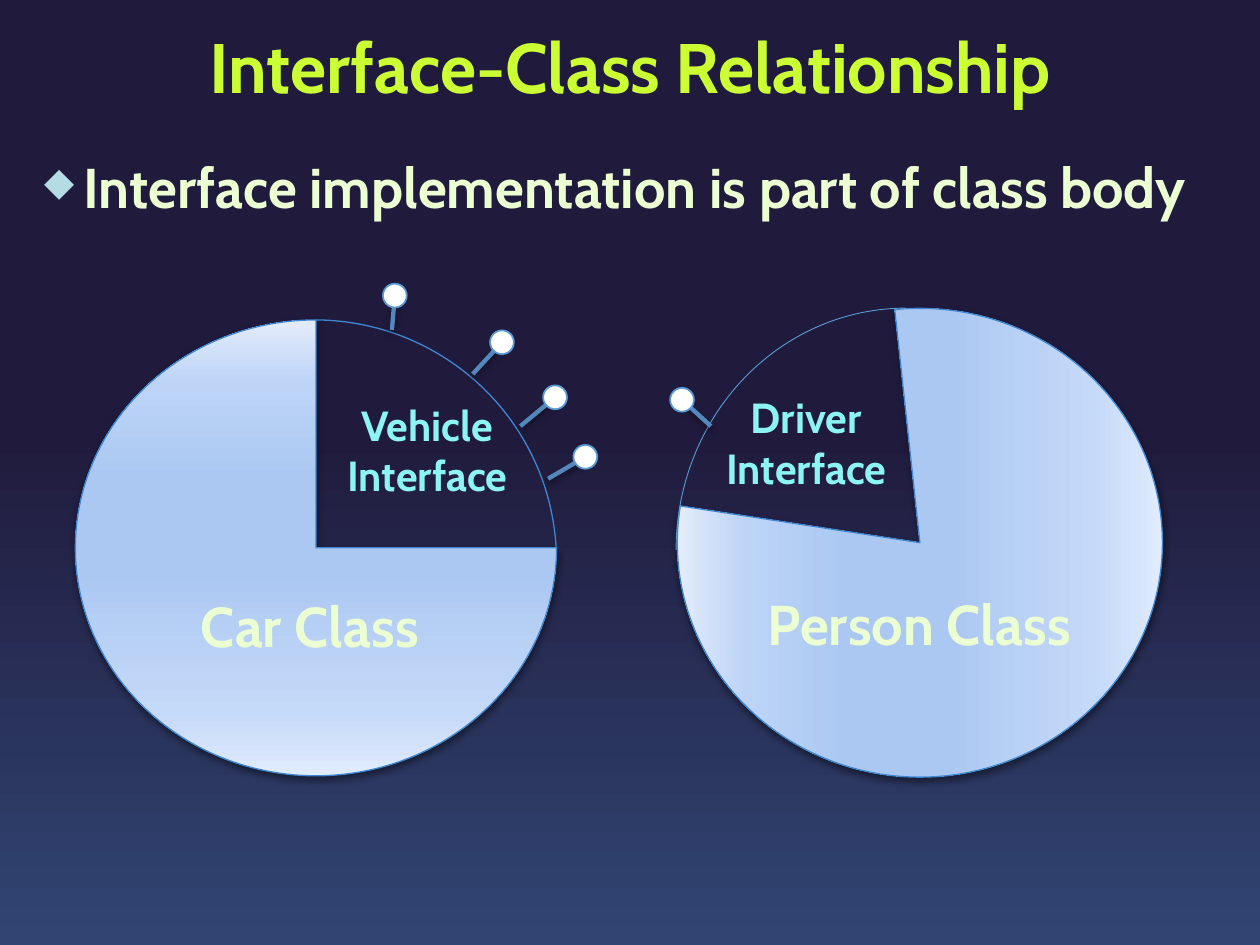
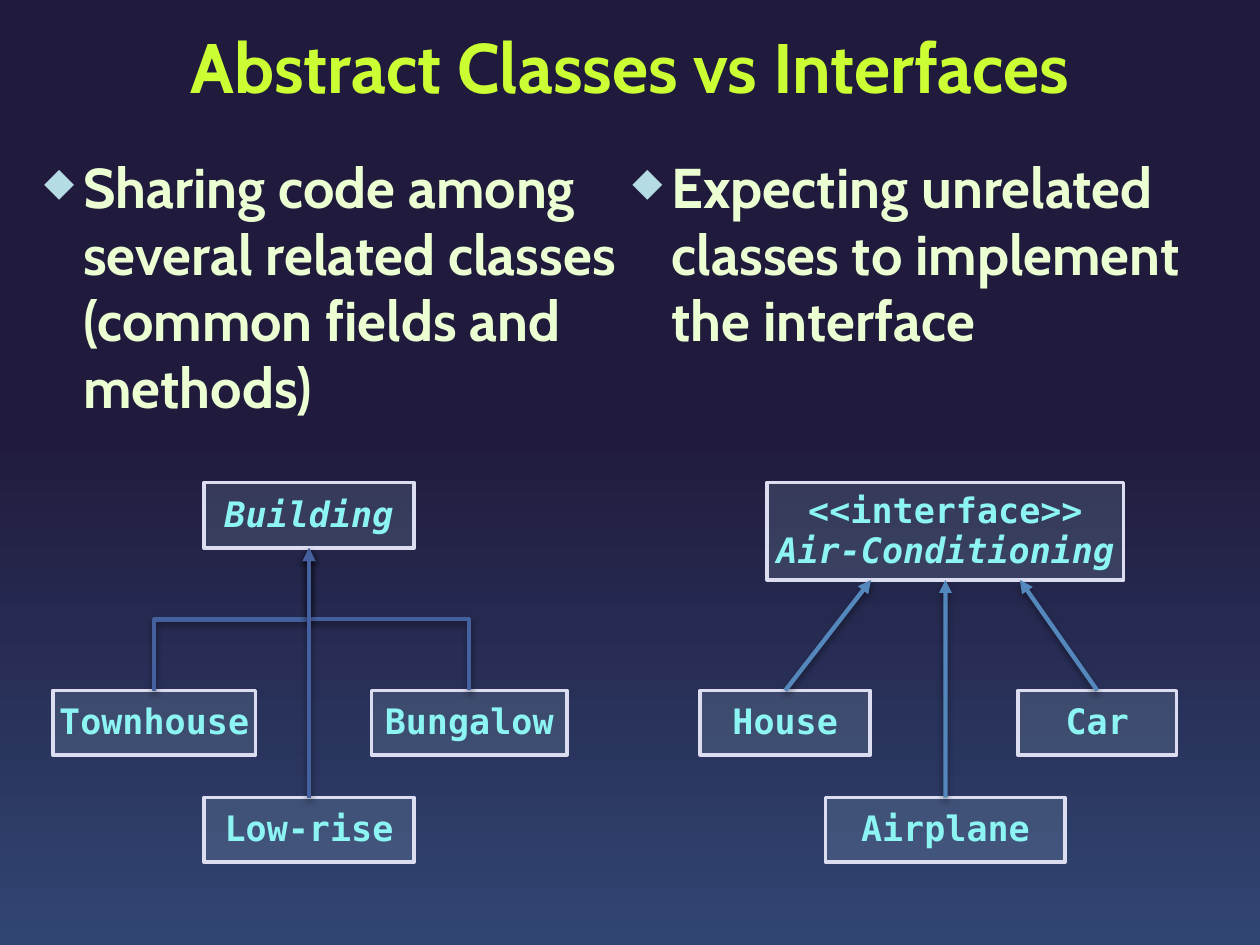
from dataclasses import dataclass

from lxml.etree import SubElement
from pptx import Presentation
from pptx.dml.color import RGBColor
from pptx.enum.shapes import MSO_CONNECTOR as LINK, MSO_SHAPE as SHAPE
from pptx.enum.text import MSO_ANCHOR as ANCHOR, PP_ALIGN as ALIGN
from pptx.oxml.ns import qn
from pptx.util import Cm, Pt


@dataclass(frozen=True)
class Theme:
    text_font: str = "Cabin"
    code_font: str = "DejaVu Sans Mono"
    title_size: int = 40
    body_size: int = 32
    label_size: int = 24
    code_size: int = 20
    title: str = "CCFF33"
    body: str = "EBFFD2"
    label: str = "8CF4F2"
    accent: str = "B5DBE5"
    box_line: str = "DCDDF0"
    pie_line: str = "3F88D1"
    pin_line: str = "5B9BD5"
    ball: str = "FFFFFF"
    stem: str = "5488BC"
    tree: str = "44609E"
    shadow: str = "000000"
    backdrop: tuple = ((0, "314573"), (54, "201B3D"))
    pie: tuple = ((0, "E0EBFD"), (14, "C5D9F8"), (45, "ABC8F2"),
                  (65, "ABC8F2"), (86, "BDD4F7"), (100, "E3ECFA"))


THEME = Theme()

# Places are (left, top, width, height) in centimetres.
TITLE_PLACE = (0.64, 0.2, 24.13, 2.54)
LEFT_COLUMN = (0.64, 2.97, 12.19, 15.67)
RIGHT_COLUMN = (12.5, 2.97, 12.55, 15.67)

RELATIONSHIP = {
    "title": "Interface-Class Relationship",
    "bullets": [("Interface implementation is part of class body",
                 (0.64, 2.97, 24.13, 2.97))],
}
# Angles are in degrees, clockwise from the right.
CLASS_PIES = [
    {"pie": (1.52, 6.45, 9.7, 9.19), "pie_angles": (0, 270),
     "arc": (1.47, 6.45, 9.75, 9.73), "arc_angles": (270.24, 356.69),
     "turn": 0, "arc_line": (THEME.pie_line, 0.75)},
    {"pie": (13.82, 6.05, 9.45, 9.78), "pie_angles": (353.85, 278.73),
     "arc": (13.39, 6.45, 9.75, 9.27), "arc_angles": (270, 0),
     "turn": 270, "arc_line": (THEME.pin_line, 0.5)},
]
PIE_LABELS = [
    (["Car Class"], (2.86, 11.79, 6.78, 1.63), THEME.body_size, THEME.body),
    (["Person Class"], (15.14, 11.76, 6.78, 1.63), THEME.body_size, THEME.body),
    (["Vehicle", "Interface"], (6.1, 7.92, 5.03, 2.31), THEME.label_size, THEME.label),
    (["Driver Interface"], (14.35, 7.77, 3.81, 2.31), THEME.label_size, THEME.label),
]
BALL_SIZE = 0.48
PINS = [  # foot on the arc, centre of the ball
    ((11.05, 9.65), (11.8, 9.21)),
    ((10.49, 8.59), (11.19, 8.01)),
    ((7.9, 6.65), (7.96, 5.96)),
    ((9.53, 7.54), (10.12, 6.9)),
    ((14.33, 8.59), (13.75, 8.06)),
]

COMPARISON = {
    "title": "Abstract Classes vs Interfaces",
    "bullets": [
        ("Sharing code among several related classes (common fields and methods)",
         LEFT_COLUMN),
        ("Expecting unrelated classes to implement the interface", RIGHT_COLUMN),
    ],
}
PARENT_TOP, MIDDLE_TOP, BOTTOM_TOP = 9.73, 13.92, 16.08
BOX_HEIGHT = 1.3
ARROW_SPREAD = 1.5
BUILDING = ([("Building", True)], 6.23, PARENT_TOP, 4.24, 1.32)
AIR_CONDITIONING = ([("<<interface>>", False), ("Air-Conditioning", True)],
                    19.06, PARENT_TOP, 7.19, 1.96)
# Name, centre, top, width, side of the parent (-1 left, 0 below, 1 right)
BUILDING_KINDS = [
    ("Townhouse", 3.11, MIDDLE_TOP, 4.09, -1),
    ("Bungalow", 9.46, MIDDLE_TOP, 3.94, 1),
    ("Low-rise", 6.23, BOTTOM_TOP, 4.24, 0),
]
IMPLEMENTERS = [
    ("House", 15.83, MIDDLE_TOP, 3.43, -1),
    ("Car", 22.12, MIDDLE_TOP, 3.2, 1),
    ("Airplane", 19.06, BOTTOM_TOP, 4.83, 0),
]


def rgb(value):
    return RGBColor.from_string(value)


def cm_all(values):
    return [Cm(value) for value in values]


def paint_gradient(fill, owner, stops):
    """Fill from bottom to top; owner is the element that holds the fill."""
    fill.gradient()
    fill.gradient_angle = 90
    stop_list = next(owner.iter(qn("a:gsLst")))
    for old_stop in list(stop_list):
        stop_list.remove(old_stop)
    for position, color in stops:
        stop = SubElement(stop_list, qn("a:gs"), pos=str(position * 1000))
        SubElement(stop, qn("a:srgbClr"), val=color)


def add_shadow(effects):
    shadow = SubElement(effects, qn("a:outerShdw"), blurRad=str(Pt(4)),
                        dist=str(Pt(2)), dir="5400000", rotWithShape="0")
    color = SubElement(shadow, qn("a:srgbClr"), val=THEME.shadow)
    SubElement(color, qn("a:alpha"), val="43000")


def set_line(line, color, width):
    line.color.rgb = rgb(color)
    line.width = Pt(width)


def write(para, text, size, color, face=THEME.text_font, italic=False):
    """Style the paragraph and its run, as some viewers skip paragraph fonts."""
    span = para.add_run()
    span.text = text
    for font in (para.font, span.font):
        font.name, font.size = face, Pt(size)
        font.bold, font.italic = True, italic
        font.color.rgb = rgb(color)


def paragraphs(frame, count):
    return [frame.paragraphs[0]] + [frame.add_paragraph() for _ in range(count - 1)]


def add_text(page, lines, place, size, color, align=ALIGN.CENTER):
    frame = page.shapes.add_textbox(*cm_all(place)).text_frame
    frame.word_wrap = True
    for para, line in zip(paragraphs(frame, len(lines)), lines):
        para.alignment = align
        write(para, line, size, color)
    return frame


def add_bullet(page, text, place):
    frame = page.shapes.add_textbox(*cm_all(place)).text_frame
    frame.word_wrap = True
    para = frame.paragraphs[0]
    para.line_spacing = Pt(38)
    para.space_before = para.space_after = Pt(6)
    props = para._p.get_or_add_pPr()
    props.set("marL", str(Cm(0.79)))
    props.set("indent", str(Cm(-0.79)))
    SubElement(SubElement(props, qn("a:buClr")), qn("a:srgbClr"), val=THEME.accent)
    SubElement(props, qn("a:buSzPct"), val="70000")
    SubElement(props, qn("a:buChar"), char="◆")
    write(para, text, THEME.body_size, THEME.body)


def add_page(deck, content):
    page = deck.slides.add_slide(deck.slide_layouts[6])
    paint_gradient(page.background.fill, page._element, THEME.backdrop)
    frame = add_text(page, [content["title"]], TITLE_PLACE,
                     THEME.title_size, THEME.title)
    frame.vertical_anchor = ANCHOR.MIDDLE
    frame.paragraphs[0].line_spacing = Pt(40)
    for text, place in content["bullets"]:
        add_bullet(page, text, place)
    return page


def add_plain_shape(page, kind, place, line_color, line_width):
    shape = page.shapes.add_shape(kind, *cm_all(place))
    shape.shadow.inherit = False
    set_line(shape.line, line_color, line_width)
    return shape


def set_angles(shape, angles, turn):
    for index, angle in enumerate(angles):
        shape.adjustments[index] = angle * 0.6
    shape.rotation = turn


def add_class_pie(page, parts):
    pie = add_plain_shape(page, SHAPE.PIE, parts["pie"], THEME.pie_line, 0.75)
    set_angles(pie, parts["pie_angles"], parts["turn"])
    paint_gradient(pie.fill, pie._element, THEME.pie)
    add_shadow(pie._element.spPr.find(qn("a:effectLst")))
    arc = add_plain_shape(page, SHAPE.ARC, parts["arc"], *parts["arc_line"])
    set_angles(arc, parts["arc_angles"], parts["turn"])
    arc.fill.background()


def add_link(page, kind, start, end, color, arrow=False):
    link = page.shapes.add_connector(kind, *start, *end)
    set_line(link.line, color, 2.5)
    props = link._element.spPr
    if arrow:
        SubElement(props.find(qn("a:ln")), qn("a:tailEnd"), type="triangle")
    add_shadow(SubElement(props, qn("a:effectLst")))
    return link


def add_pin(page, foot, centre):
    add_link(page, LINK.STRAIGHT, cm_all(foot), cm_all(centre), THEME.stem)
    corner = [value - BALL_SIZE / 2 for value in centre]
    ball = add_plain_shape(page, SHAPE.OVAL, (*corner, BALL_SIZE, BALL_SIZE),
                           THEME.pin_line, 1)
    ball.fill.solid()
    ball.fill.fore_color.rgb = rgb(THEME.ball)


def add_class_box(page, lines, centre, top, width, height=BOX_HEIGHT):
    place = (centre - width / 2, top, width, height)
    box = add_plain_shape(page, SHAPE.RECTANGLE, place, THEME.box_line, 2)
    box.fill.solid()
    box.fill.fore_color.rgb = rgb(THEME.accent)
    fill_color = next(box._element.spPr.iter(qn("a:srgbClr")))
    SubElement(fill_color, qn("a:alpha"), val="15000")
    frame = box.text_frame
    frame.word_wrap = False
    frame.vertical_anchor = ANCHOR.MIDDLE
    for para, (text, italic) in zip(paragraphs(frame, len(lines)), lines):
        para.alignment = ALIGN.CENTER
        para.line_spacing = 0.95
        write(para, text, THEME.code_size, THEME.label, THEME.code_font, italic)
    return box


def stand_upright(elbow):
    """Turn an elbow so that it leaves and arrives vertically, going up."""
    leans_left = elbow.begin_x > elbow.end_x
    left, top, width, height = elbow.left, elbow.top, elbow.width, elbow.height
    elbow.left = left + (width - height) // 2
    elbow.top = top + (height - width) // 2
    elbow.width, elbow.height = height, width
    frame = elbow._element.spPr.find(qn("a:xfrm"))
    frame.set("rot", "16200000")
    frame.set("flipH", "0")
    frame.set("flipV", "1" if leans_left else "0")


def add_hierarchy(page, parent_content, children, color, elbows):
    parent = add_class_box(page, *parent_content)
    middle = parent.left + parent.width // 2
    for name, centre, top, width, side in children:
        child = add_class_box(page, [(name, False)], centre, top, width)
        bent = elbows and side != 0
        spread = 0 if elbows else side * Cm(ARROW_SPREAD)
        link = add_link(page, LINK.ELBOW if bent else LINK.STRAIGHT,
                        (Cm(centre), Cm(top)),
                        (middle + spread, parent.top + parent.height),
                        color, arrow=True)
        link.begin_connect(child, 0)
        if spread == 0:
            link.end_connect(parent, 2)
        if bent:
            stand_upright(link)


def main():
    deck = Presentation()
    deck.slide_width, deck.slide_height = Cm(25.4), Cm(19.05)

    page = add_page(deck, RELATIONSHIP)
    for parts in CLASS_PIES:
        add_class_pie(page, parts)
    for label in PIE_LABELS:
        add_text(page, *label)
    for foot, centre in PINS:
        add_pin(page, foot, centre)

    page = add_page(deck, COMPARISON)
    add_hierarchy(page, BUILDING, BUILDING_KINDS, THEME.tree, elbows=True)
    add_hierarchy(page, AIR_CONDITIONING, IMPLEMENTERS, THEME.stem, elbows=False)

    deck.save("out.pptx")


if __name__ == "__main__":
    main()
